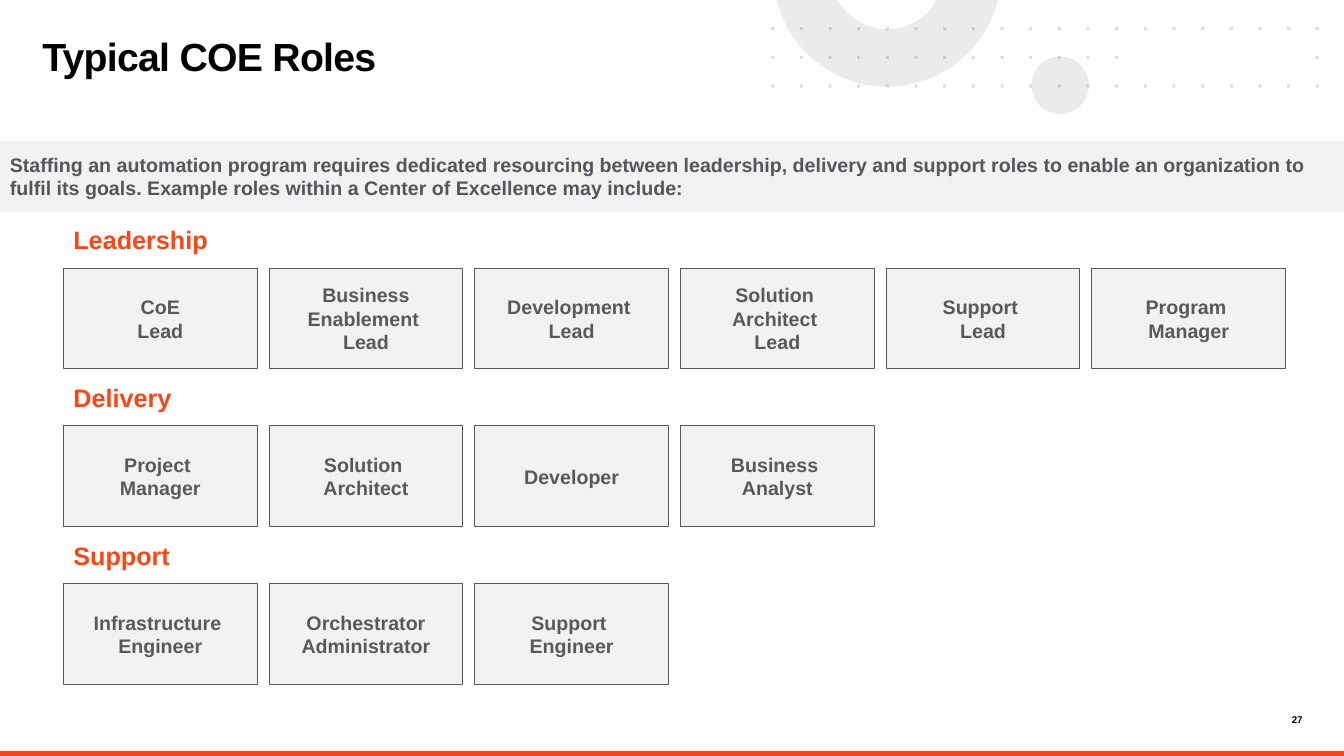
import math
from lxml import etree
from pptx import Presentation, util as u
from pptx.dml.color import RGBColor
from pptx.enum import shapes as sh, text as tx
from pptx.oxml.ns import qn

WIDE, HIGH = 13.33, 7.5

# Grid of role boxes: one row per group
LEFT, TOP = 0.63, 2.66
STEP, DROP = 2.04, (5.79 - 2.66) / 2
BOX_W, BOX_H = 1.92, 1.0
HEAD_UP = 0.48

GREY, PALE, RED = "58595B", "F2F2F2", "FA4616"

GROUPS = [
    ("Leadership", ["CoE\nLead", "Business Enablement \nLead",
                    "Development \nLead", "Solution \nArchitect \nLead",
                    "Support \nLead", "Program \nManager"]),
    ("Delivery", ["Project \nManager", "Solution \nArchitect",
                  "Developer", "Business \nAnalyst"]),
    ("Support", ["Infrastructure \nEngineer", "Orchestrator\nAdministrator",
                 "Support \nEngineer"]),
]
INTRO = ("Staffing an automation program requires dedicated resourcing between "
         "leadership, delivery and support roles to enable an organization to "
         "fulfil its goals. Example roles within a Center of Excellence may "
         "include:")


def paint(fmt, color, alpha=None):
    """Solid fill from a hex string, with opacity in percent if given."""
    fmt.solid()
    fmt.fore_color.rgb = RGBColor.from_string(color)
    if alpha is not None:
        tone = fmt._xPr.find(".//" + qn("a:srgbClr"))
        etree.SubElement(tone, qn("a:alpha")).set("val", str(alpha * 1000))


def write(shape, words, size=14, color=GREY, align="LEFT", anchor="TOP",
          pad=(0, 0), lead=None, track=None):
    """Fill a shape with bold Arial text, one paragraph per line."""
    frame = shape.text_frame
    frame.word_wrap = True
    frame.auto_size = tx.MSO_AUTO_SIZE.NONE
    frame.vertical_anchor = tx.MSO_ANCHOR[anchor]
    frame.margin_left = frame.margin_right = u.Inches(pad[0])
    frame.margin_top = frame.margin_bottom = u.Inches(pad[1])
    for i, line in enumerate(words.split("\n")):
        para = frame.add_paragraph() if i else frame.paragraphs[0]
        para.alignment = tx.PP_ALIGN[align]
        if lead:
            para.line_spacing = lead
        run = para.add_run()
        run.text = line
        font = run.font
        font.name, font.size, font.bold = "Arial", u.Pt(size), True
        paint(font.fill, color)
        if track is not None:
            run._r.get_or_add_rPr().set("spc", str(int(track * 100)))


def finish(shape, color, alpha=None, line=None):
    shape.shadow.inherit = False
    paint(shape.fill, color, alpha)
    if line:
        paint(shape.line.fill, line)
        shape.line.width = u.Pt(0.75)
    else:
        shape.line.fill.background()
    return shape


def block(slide, x, y, w, h, color, alpha=None, line=None, kind="RECTANGLE"):
    shape = slide.shapes.add_shape(sh.MSO_SHAPE[kind], *map(u.Inches, (x, y, w, h)))
    return finish(shape, color, alpha, line)


def label(slide, x, y, w, h, words, **style):
    write(slide.shapes.add_textbox(*map(u.Inches, (x, y, w, h))), words, **style)


def outline(slide, loops, color, alpha):
    """One freeform made of closed loops of points in inches."""
    loops = [[(u.Inches(x), u.Inches(y)) for x, y in loop] for loop in loops]
    form = slide.shapes.build_freeform(*loops[0][0])
    for i, loop in enumerate(loops):
        if i:
            form.move_to(*loop[0])
        form.add_line_segments(loop[1:], close=True)
    finish(form.convert_to_shape(), color, alpha)


def arc(x, y, radius, steps=60):
    """Lower part of a circle, right to left, cut by the slide's top edge."""
    start = math.asin(-y / radius)
    turn = (math.pi - 2 * start) / steps
    return [(x + radius * math.cos(start + turn * i),
             y + radius * math.sin(start + turn * i)) for i in range(steps + 1)]


def decor(slide):
    # Small disc and cut ring
    block(slide, 10.23, 0.56, 0.57, 0.57, "D9D9D9", 50, kind="OVAL")
    hub = (8.8, -0.27)
    outline(slide, [arc(*hub, 1.13) + arc(*hub, 0.56)[::-1]], "D9D9D9", 50)
    # Dot grid, with a gap in its middle row
    dot, pitch = 0.03, (13.05 - 7.65) / 19
    spots = [(7.65 + pitch * col, 0.27 + pitch * row)
             for row in range(3) for col in range(20)
             if row != 1 or not 13 <= col <= 18]
    outline(slide, [[(x, y), (x + dot, y), (x + dot, y + dot), (x, y + dot)]
                    for x, y in spots], GREY, 20)
    # Bottom stripe and page number
    block(slide, 0, HIGH - 0.05, WIDE, 0.05, RED)
    label(slide, 12.53, 7.08, 0.39, 0.13, "27", size=7, color="000000",
          align="RIGHT")


def heading(slide, words):
    title = slide.shapes.title
    title.left, title.top, title.width, title.height = map(
        u.Inches, (0.42, 0.39, 7.23, 0.75))
    write(title, words, size=28, color="000000", lead=0.85, track=-0.5)


def group(slide, row, name, roles):
    y = TOP + DROP * row
    label(slide, LEFT, y - HEAD_UP, 6.93, 0.4, name, size=18, color=RED,
          pad=(0.1, 0.05))
    for col, role in enumerate(roles):
        box = block(slide, LEFT + STEP * col, y, BOX_W, BOX_H, PALE, line=GREY)
        write(box, role, align="CENTER", anchor="MIDDLE")


def main():
    deck = Presentation()
    deck.slide_width, deck.slide_height = u.Inches(WIDE), u.Inches(HIGH)
    slide = deck.slides.add_slide(deck.slide_layouts.get_by_name("Title Only"))
    decor(slide)
    heading(slide, "Typical COE Roles")
    # Intro band
    band = block(slide, 0, 1.4, WIDE, 0.7, PALE)
    write(band, INTRO, color="53565A", anchor="MIDDLE", pad=(0.1, 0.1))
    # Role groups
    for row, (name, roles) in enumerate(GROUPS):
        group(slide, row, name, roles)
    deck.save("out.pptx")


if __name__ == "__main__":
    main()
